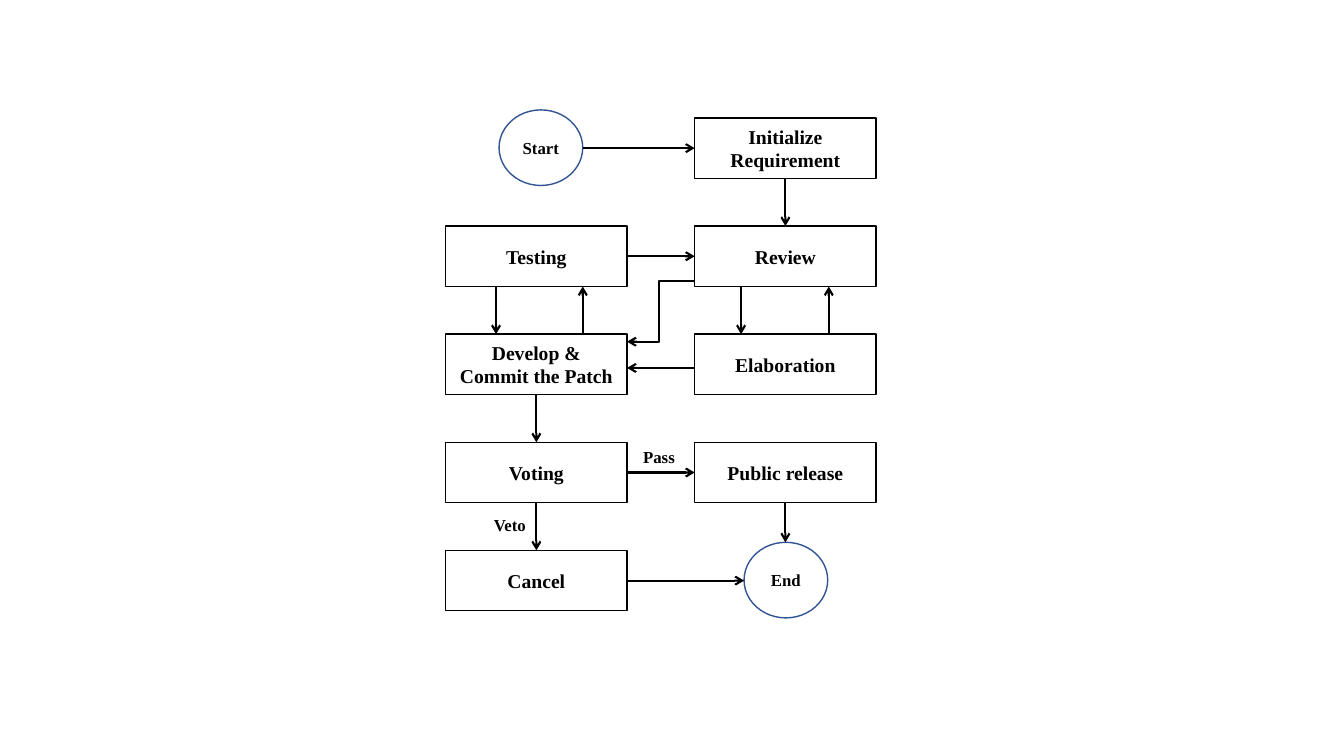
from dataclasses import dataclass

from lxml import etree
from pptx import Presentation
from pptx.dml.color import RGBColor
from pptx.enum.shapes import MSO_CONNECTOR, MSO_SHAPE
from pptx.enum.text import MSO_ANCHOR, PP_ALIGN
from pptx.oxml.ns import qn
from pptx.util import Inches, Pt

BLACK = RGBColor(0x00, 0x00, 0x00)
WHITE = RGBColor(0xFF, 0xFF, 0xFF)
BLUE = RGBColor(0x32, 0x54, 0x91)
FONT = "Times New Roman"

# Grid of two columns and five rows, in inches
LEFT_COL, RIGHT_COL = 4.42, 6.89
FIRST_TOP, LAST_TOP = 1.17, 5.46
ROW_PITCH = (LAST_TOP - FIRST_TOP) / 4
BOX_W, BOX_H = 1.8, 0.6
CIRCLE_W, CIRCLE_H = 0.83, 0.75
TOP_SITE, LEFT_SITE, BOTTOM_SITE, RIGHT_SITE = range(4)


@dataclass(frozen=True)
class Step:
    text: str
    column: float
    row: int


@dataclass(frozen=True)
class Caption:
    text: str
    left: float
    top: float


@dataclass(frozen=True)
class Link:
    source: str
    source_site: int
    target: str
    target_site: int


@dataclass(frozen=True)
class Arrow:
    x1: float
    y1: float
    x2: float
    y2: float


def row_top(row: int) -> float:
    return FIRST_TOP + row * ROW_PITCH


def row_middle(row: int) -> float:
    return row_top(row) + BOX_H / 2


def write(shape, text: str, size: int, align=PP_ALIGN.CENTER) -> None:
    paragraph = shape.text_frame.paragraphs[0]
    paragraph.alignment = align
    run = paragraph.add_run()
    run.text = text
    run.font.name, run.font.size, run.font.bold = FONT, Pt(size), True
    run.font.color.rgb = BLACK


def add_node(slide, kind, left: float, top: float, width: float, height: float,
             text: str, size: int, line: RGBColor):
    node = slide.shapes.add_shape(kind, Inches(left), Inches(top), Inches(width), Inches(height))
    node.shadow.inherit = False
    node.fill.solid()
    node.fill.fore_color.rgb = WHITE
    node.line.color.rgb = line
    node.line.width = Pt(1)
    node.text_frame.word_wrap = True
    node.text_frame.vertical_anchor = MSO_ANCHOR.MIDDLE
    write(node, text, size)
    return node


def add_label(slide, label: Caption) -> None:
    box = slide.shapes.add_textbox(Inches(label.left), Inches(label.top), Inches(0.52), Inches(0.3))
    box.text_frame.word_wrap = False
    write(box, label.text, 12, PP_ALIGN.LEFT)


def add_arrow(slide, arrow: Arrow, kind=MSO_CONNECTOR.STRAIGHT):
    connector = slide.shapes.add_connector(
        kind, Inches(arrow.x1), Inches(arrow.y1), Inches(arrow.x2), Inches(arrow.y2))
    connector.line.color.rgb = BLACK
    connector.line.width = Pt(1.5)
    etree.SubElement(connector.line._get_or_add_ln(), qn("a:tailEnd"), type="arrow")
    etree.SubElement(connector._element.spPr, qn("a:effectLst"))
    return connector


STEPS = {step.text: step for step in (
    Step("Initialize Requirement", RIGHT_COL, 0),
    Step("Testing", LEFT_COL, 1),
    Step("Review", RIGHT_COL, 1),
    Step("Develop & Commit the Patch", LEFT_COL, 2),
    Step("Elaboration", RIGHT_COL, 2),
    Step("Voting", LEFT_COL, 3),
    Step("Public release", RIGHT_COL, 3),
    Step("Cancel", LEFT_COL, 4),
)}
START, END = Caption("Start", 4.95, 1.09), Caption("End", 7.38, 5.38)
LABELS = [Caption("Pass", 6.28, 4.38), Caption("Veto", 4.8, 5.06)]

# Arrows that join the middles of two boxes
LINKS = [
    Link("Initialize Requirement", BOTTOM_SITE, "Review", TOP_SITE),
    Link("Testing", RIGHT_SITE, "Review", LEFT_SITE),
    Link("Develop & Commit the Patch", BOTTOM_SITE, "Voting", TOP_SITE),
    Link("Voting", RIGHT_SITE, "Public release", LEFT_SITE),
    Link("Voting", BOTTOM_SITE, "Cancel", TOP_SITE),
]

# Arrows at circles, and the off-centre ones between rows 1 and 2
REVIEW_BOTTOM, PATCH_TOP = row_top(1) + BOX_H, row_top(2)
LEFT_EDGE = LEFT_COL + BOX_W
RIGHT_CENTRE = RIGHT_COL + BOX_W / 2
FREE_ARROWS = [
    Arrow(START.left + CIRCLE_W, row_middle(0), RIGHT_COL, row_middle(0)),
    Arrow(LEFT_EDGE, row_middle(4), END.left, row_middle(4)),
    Arrow(RIGHT_CENTRE, row_top(3) + BOX_H, RIGHT_CENTRE, END.top),
    Arrow(RIGHT_COL, 3.65, LEFT_EDGE, 3.65),
]
for down_x, up_x in ((4.92, 5.78), (7.35, 8.22)):
    FREE_ARROWS += [Arrow(down_x, REVIEW_BOTTOM, down_x, PATCH_TOP),
                    Arrow(up_x, PATCH_TOP, up_x, REVIEW_BOTTOM)]

prs = Presentation()
prs.slide_width, prs.slide_height = Inches(13.33), Inches(7.5)
slide = prs.slides.add_slide(prs.slide_layouts[6])

# Boxes, circles and labels
boxes = {
    text: add_node(slide, MSO_SHAPE.RECTANGLE, step.column, row_top(step.row),
                   BOX_W, BOX_H, text, 14, BLACK)
    for text, step in STEPS.items()
}
for terminal in (START, END):
    add_node(slide, MSO_SHAPE.OVAL, terminal.left, terminal.top,
             CIRCLE_W, CIRCLE_H, terminal.text, 12, BLUE)
for label in LABELS:
    add_label(slide, label)

# Arrows, the linked ones drawn between box centres and then glued to the sides
for link in LINKS:
    source, target = STEPS[link.source], STEPS[link.target]
    connector = add_arrow(slide, Arrow(
        source.column + BOX_W / 2, row_middle(source.row),
        target.column + BOX_W / 2, row_middle(target.row)))
    connector.begin_connect(boxes[link.source], link.source_site)
    connector.end_connect(boxes[link.target], link.target_site)
for arrow in FREE_ARROWS:
    add_arrow(slide, arrow)

# Bent arrow from Review back to the patch, its bend just past the middle
bent = add_arrow(slide, Arrow(RIGHT_COL, 2.79, LEFT_EDGE, 3.39), MSO_CONNECTOR.ELBOW)
guides = bent._element.spPr.find(qn("a:prstGeom")).get_or_add_avLst()
etree.SubElement(guides, qn("a:gd"), name="adj1", fmla="val 52300")

prs.save("out.pptx")
